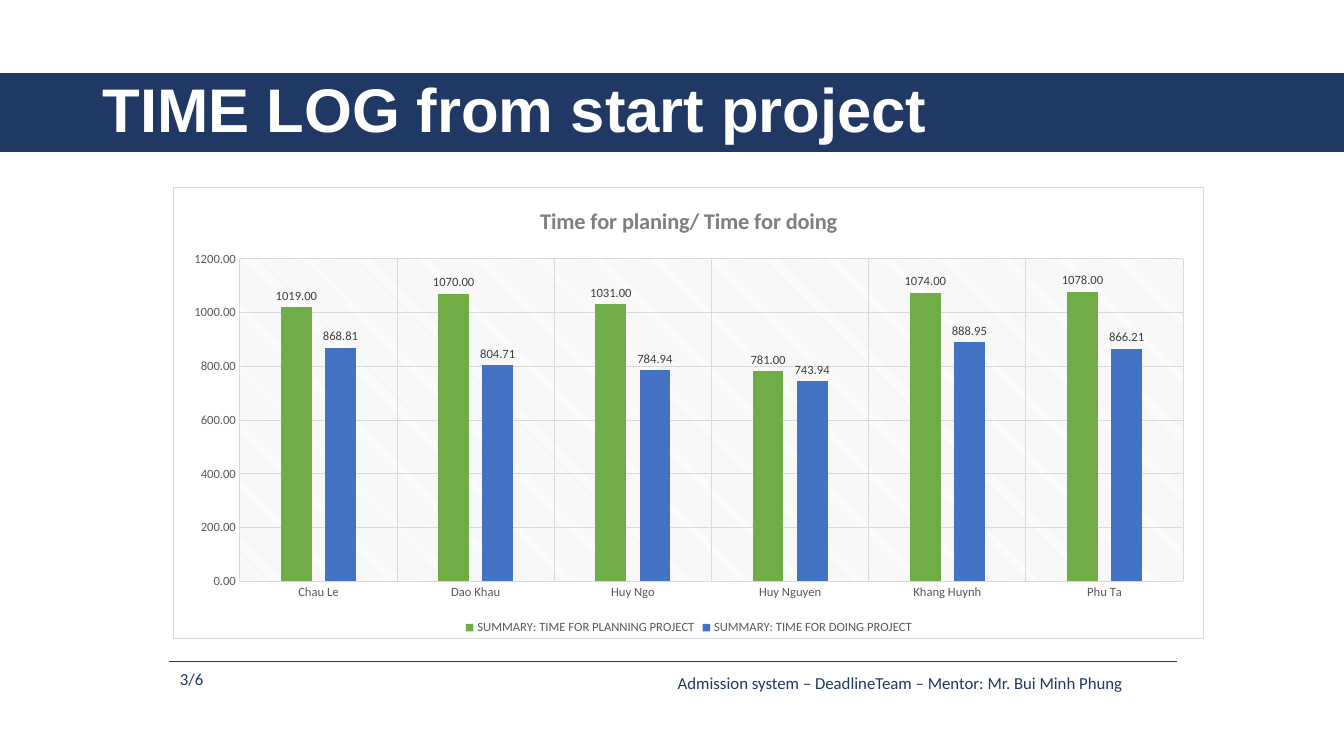
from lxml.etree import SubElement
from pptx import Presentation
from pptx.chart.data import CategoryChartData
from pptx.dml.color import RGBColor
from pptx.enum.chart import XL_CHART_TYPE, XL_LABEL_POSITION, XL_LEGEND_POSITION, XL_TICK_MARK
from pptx.enum.shapes import MSO_CONNECTOR, MSO_SHAPE
from pptx.enum.text import MSO_ANCHOR, PP_ALIGN
from pptx.oxml import parse_xml
from pptx.oxml.ns import nsdecls, qn
from pptx.util import Pt

PX = 9525
COLORS = {
    "navy": "203864", "white": "FFFFFF", "black": "000000", "grid": "D9D9D9",
    "axis": "595959", "label": "404040", "heading": "7F7F7F",
    "planning": "70AD47", "doing": "4472C4",
}
MEMBERS = ["Chau Le", "Dao Khau", "Huy Ngo", "Huy Nguyen", "Khang Huynh", "Phu Ta"]
SERIES = [
    ("SUMMARY: TIME FOR PLANNING PROJECT", "planning", [1019, 1070, 1031, 781, 1074, 1078]),
    ("SUMMARY: TIME FOR DOING PROJECT", "doing", [868.81, 804.71, 784.94, 743.94, 888.95, 866.21]),
]


def rgb(name):
    return RGBColor.from_string(COLORS[name])


def emu(*lengths):
    return [length * PX for length in lengths]


def style_font(font, size, color, name="Calibri", bold=False):
    font.size, font.name, font.bold = Pt(size), name, bold
    font.color.rgb = rgb(color)


def style_line(line, color, width):
    line.color.rgb = rgb(color)
    line.width = Pt(width)


def add_header(slide, x, y, w, h):
    band = slide.shapes.add_shape(MSO_SHAPE.RECTANGLE, *emu(x, y, w, h))
    band.shadow.inherit = False
    band.fill.solid()
    band.fill.fore_color.rgb = rgb("navy")
    style_line(band.line, "navy", 1)

    title = slide.shapes.title
    band.element.addnext(title.element)
    title.left, title.top, title.width, title.height = emu(x + 88, y - 32, w - 176, 139)
    tf = title.text_frame
    tf.text = "TIME LOG from start project"
    tf.vertical_anchor = MSO_ANCHOR.MIDDLE
    p = tf.paragraphs[0]
    p.alignment = PP_ALIGN.LEFT
    p.line_spacing = 0.9
    style_font(p.font, 44, "white", "Arial", True)


def chart_shape_properties(fill, border=""):
    return parse_xml(f'<c:spPr {nsdecls("c", "a")}>{fill}{border}</c:spPr>')


def fill_chart_backgrounds(chart):
    """Give the chart a white bordered area and a hatched plot."""
    white, grid = (f'<a:srgbClr val="{COLORS[c]}"/>' for c in ("white", "grid"))
    solid = "<a:solidFill>{}</a:solidFill>"
    area = chart_shape_properties(solid.format(white),
                                  f'<a:ln w="{Pt(0.75)}">{solid.format(grid)}</a:ln>')
    hatch = chart_shape_properties(
        f'<a:pattFill prst="ltDnDiag"><a:fgClr>{grid}</a:fgClr>'
        f'<a:bgClr>{white}</a:bgClr></a:pattFill>')
    body = chart.element.find(qn("c:chart"))
    body.addnext(area)
    body.find(qn("c:plotArea")).append(hatch)


def style_axes(chart):
    for axis in (chart.category_axis, chart.value_axis):
        axis.major_tick_mark = axis.minor_tick_mark = XL_TICK_MARK.NONE
        axis.has_major_gridlines = True
        style_line(axis.major_gridlines.format.line, "grid", 0.75)
        style_font(axis.tick_labels.font, 9, "axis")
    style_line(chart.category_axis.format.line, "grid", 0.75)
    values = chart.value_axis
    values.format.line.fill.background()
    values.minimum_scale, values.maximum_scale, values.major_unit = 0, 1200, 200
    values.tick_labels.number_format = "0.00"
    values.tick_labels.number_format_is_linked = False


def style_series(plot):
    plot.gap_width, plot.overlap = 267, -43
    plot.vary_by_categories = False
    for series, (_, color, _) in zip(plot.series, SERIES):
        series.format.fill.solid()
        series.format.fill.fore_color.rgb = rgb(color)
        labels = series.data_labels
        labels.show_value = True
        labels.position = XL_LABEL_POSITION.OUTSIDE_END
        labels.number_format = "0.00"
        labels.number_format_is_linked = False
        style_font(labels.font, 9, "label")


def add_time_chart(slide, x, y, w, h):
    data = CategoryChartData(number_format="0.00")
    data.categories = MEMBERS
    for name, _, hours in SERIES:
        data.add_series(name, hours)
    chart = slide.shapes.add_chart(
        XL_CHART_TYPE.COLUMN_CLUSTERED, *emu(x, y, w, h), data).chart
    style_font(chart.font, 10, "black")

    chart.has_title = True
    tf = chart.chart_title.text_frame
    tf.text = "Time for planing/ Time for doing"
    style_font(tf.paragraphs[0].font, 16, "heading", bold=True)

    chart.has_legend = True
    chart.legend.position = XL_LEGEND_POSITION.BOTTOM
    chart.legend.include_in_layout = False
    style_font(chart.legend.font, 9, "axis")

    style_axes(chart)
    style_series(chart.plots[0])
    fill_chart_backgrounds(chart)


def add_footer_text(slide, text, x, y, w, h, wrap):
    tf = slide.shapes.add_textbox(*emu(x, y, w, h)).text_frame
    tf.word_wrap = wrap
    tf.text = text
    style_font(tf.paragraphs[0].font, 12, "navy")


def add_footer(slide, x, y, w):
    rule = slide.shapes.add_connector(MSO_CONNECTOR.STRAIGHT, *emu(x, y, x + w, y))
    style_line(rule.line, "navy", 0.5)
    SubElement(rule.element.spPr, qn("a:effectLst"))
    add_footer_text(slide, "Admission system – DeadlineTeam – Mentor: Mr. Bui Minh Phung",
                    x + 475, y + 6, 488, 29, False)
    add_footer_text(slide, "3/6", x + 1, y + 2, 49, 29, True)


def main():
    prs = Presentation()
    prs.slide_width, prs.slide_height = emu(1280, 720)
    slide = prs.slides.add_slide(prs.slide_layouts[5])
    add_header(slide, 0, 70, 1280, 74)
    add_footer(slide, 161, 630, 960)
    add_time_chart(slide, 165, 178, 982, 431)
    prs.save("out.pptx")


if __name__ == "__main__":
    main()
